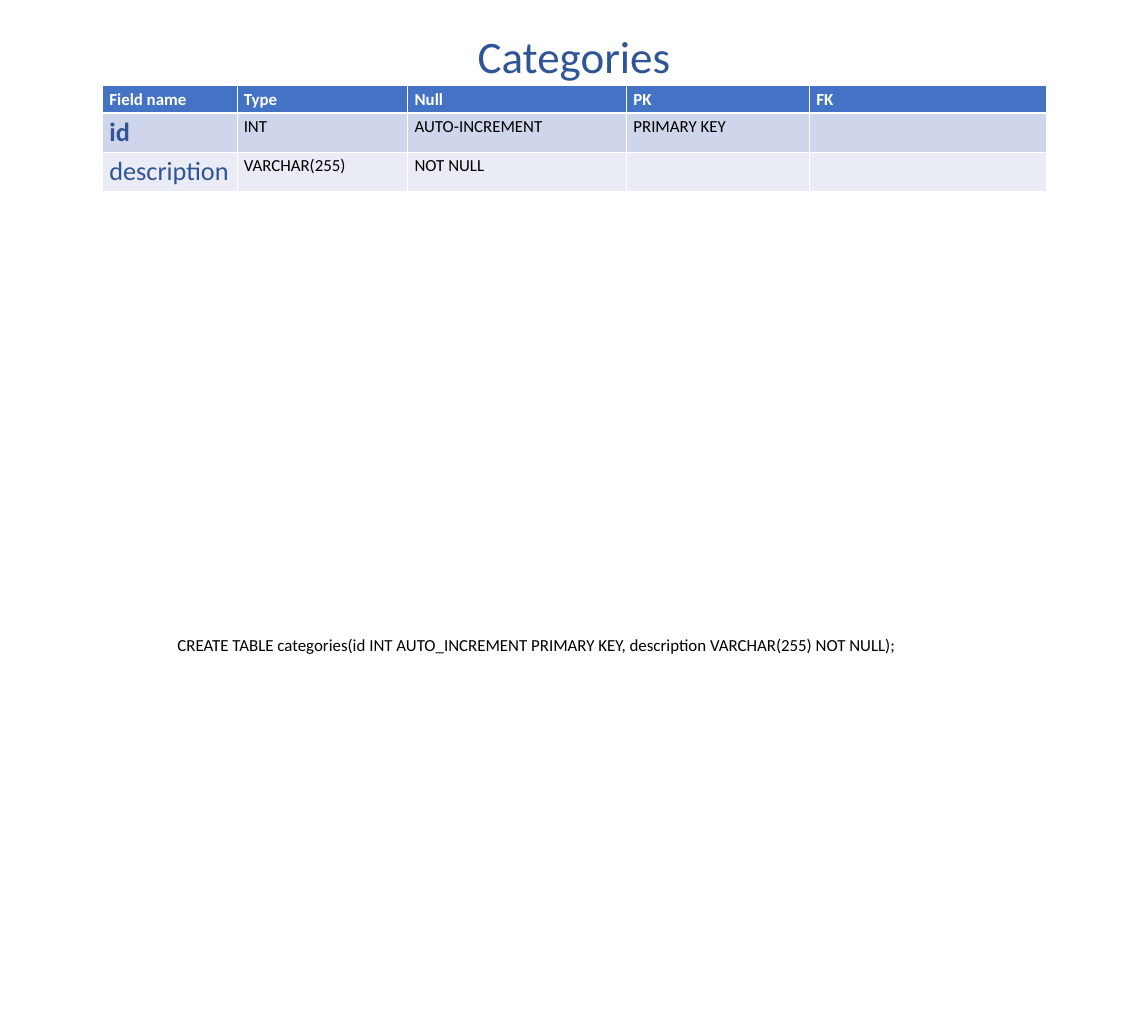
from lxml.etree import SubElement
from pptx import Presentation
from pptx.dml.color import RGBColor
from pptx.enum.text import MSO_ANCHOR, PP_ALIGN
from pptx.oxml.ns import qn
from pptx.util import Inches, Pt

WHITE, BLACK, NAVY = "FFFFFF", "000000", "2F5597"
ROW_FILLS = ["4472C4", "CFD5EA", "E9EBF5"]
COLUMN_WIDTHS = [1.99, 2.53, 3.24, 2.71, 3.5]
ROW_HEIGHTS = [0.4, 0.58, 0.58]
FIELDS = [
    ["Field name", "Type", "Null", "PK", "FK"],
    ["id", "INT", "AUTO-INCREMENT", "PRIMARY KEY", ""],
    ["description", "VARCHAR(255)", "NOT NULL", "", ""],
]
STATEMENT = (
    "CREATE TABLE categories(id INT AUTO_INCREMENT PRIMARY KEY, "
    "description VARCHAR(255) NOT NULL);"
)


def color(value):
    """Turn a hex string into a colour."""
    return RGBColor.from_string(value)


def add_run(frame, text, size, ink, bold=False):
    """Add one formatted run to the first paragraph of a text frame."""
    run = frame.paragraphs[0].add_run()
    run.text = text
    run.font.name = "Calibri"
    run.font.size = Pt(size)
    run.font.bold = bold
    run.font.color.rgb = color(ink)


def add_border(cell, side, width):
    """Draw a white border on one side of a cell."""
    border = SubElement(cell._tc.get_or_add_tcPr(), qn(f"a:ln{side}"), w=str(Pt(width)))
    fill = SubElement(border, qn("a:solidFill"))
    SubElement(fill, qn("a:srgbClr"), val=WHITE)


def add_title(slide, text):
    """Place the slide title above the table."""
    title = slide.shapes.title
    title.left, title.top = Inches(6.91), Inches(0.37)
    title.width, title.height = Inches(3.18), Inches(0.91)
    title.text_frame.vertical_anchor = MSO_ANCHOR.TOP
    title.text_frame.paragraphs[0].alignment = PP_ALIGN.CENTER
    add_run(title.text_frame, text, 48, NAVY)


def fill_cell(cell, text, row, column):
    """Format and fill one cell according to its row and column."""
    for side in "LRTB":
        under_header = (row, side) in [(0, "B"), (1, "T")]
        add_border(cell, side, 3 if under_header else 1)
    cell.fill.solid()
    cell.fill.fore_color.rgb = color(ROW_FILLS[row])
    if not text:
        return
    if row == 0:
        add_run(cell.text_frame, text, 18, WHITE, bold=True)
    elif column == 0:
        add_run(cell.text_frame, text, 28, NAVY, bold=text == "id")
    else:
        add_run(cell.text_frame, text, 18, BLACK)


def add_field_table(slide):
    """Add the table that lists the fields."""
    table = slide.shapes.add_table(
        len(FIELDS), len(COLUMN_WIDTHS), Inches(1.52), Inches(1.27),
        Inches(sum(COLUMN_WIDTHS)), Inches(sum(ROW_HEIGHTS)),
    ).table
    for column, width in zip(table.columns, COLUMN_WIDTHS):
        column.width = Inches(width)
    for row, height in zip(table.rows, ROW_HEIGHTS):
        row.height = Inches(height)
    for row, values in enumerate(FIELDS):
        for column, text in enumerate(values):
            fill_cell(table.cell(row, column), text, row, column)


def add_statement(slide, text):
    """Add the SQL statement below the table."""
    statement = slide.shapes.add_textbox(
        Inches(2.53), Inches(9.35), Inches(11.85), Inches(0.4)
    )
    statement.text_frame.word_wrap = True
    add_run(statement.text_frame, text, 18, BLACK)


def main():
    """Build and save the slide."""
    deck = Presentation()
    deck.slide_width, deck.slide_height = Inches(17), Inches(15)
    slide = deck.slides.add_slide(deck.slide_layouts[5])
    add_field_table(slide)
    add_title(slide, "Categories")
    add_statement(slide, STATEMENT)
    deck.save("out.pptx")


if __name__ == "__main__":
    main()
